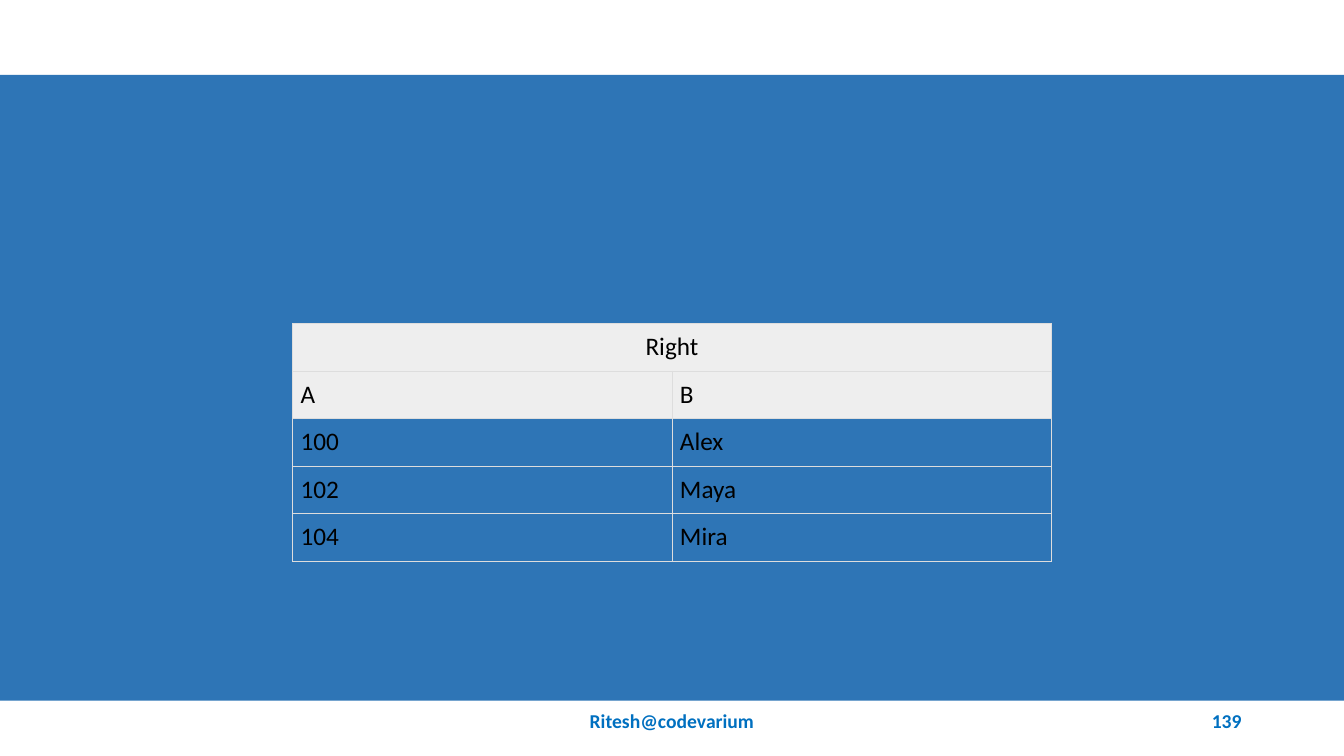
"""Builds a slide with a small two-column table on a blue band."""
from dataclasses import dataclass

from lxml.etree import SubElement
from pptx import Presentation
from pptx.dml.color import RGBColor
from pptx.enum.shapes import MSO_SHAPE
from pptx.enum.text import MSO_ANCHOR, PP_ALIGN
from pptx.oxml.ns import qn
from pptx.util import Pt

HEAD = "Right"
ROWS = [("A", "B"), ("100", "Alex"), ("102", "Maya"), ("104", "Mira")]
FOOT = [
    ("Ritesh@codevarium", 318, 324, PP_ALIGN.CENTER),
    ("139", 678, 216, PP_ALIGN.RIGHT),
]
WIDE, HIGH = 960, 540
BAND = (0, 53.5, WIDE, 447)
LEFT, TOP, COL, ROW, PAD = 209, 231, 271, 34, 5.75
FOOT_TOP, FOOT_HIGH = 500.5, 28.75


@dataclass(frozen=True)
class Theme:
    """Holds colours, font and sizes."""
    font: str = "Calibri"
    page: str = "FFFFFF"
    band: str = "2E75B6"
    head: str = "EEEEEE"
    rule: str = "DDDDDD"
    ink: str = "000000"
    foot: str = "0070C0"
    body: int = 18
    small: int = 14
    line: float = 0.75


LOOK = Theme()


def paint(fill, tone):
    """Sets a solid fill."""
    fill.solid()
    fill.fore_color.rgb = RGBColor.from_string(tone)


def write(frame, text, size, tone, align, bold=False):
    """Adds one styled run to the first paragraph."""
    para = frame.paragraphs[0]
    para.alignment = align
    run = para.add_run()
    run.text = text
    run.font.name = LOOK.font
    run.font.size = Pt(size)
    run.font.bold = bold
    run.font.color.rgb = RGBColor.from_string(tone)


def edge(cell):
    """Draws a thin rule on all four sides of a cell."""
    props = cell._tc.get_or_add_tcPr()
    for side in ("lnL", "lnR", "lnT", "lnB"):
        line = SubElement(props, qn(f"a:{side}"), w=str(Pt(LOOK.line)))
        fill = SubElement(line, qn("a:solidFill"))
        SubElement(fill, qn("a:srgbClr"), val=LOOK.rule)


def add_grid(slide):
    """Adds the table with its merged heading."""
    data = [(HEAD, "")] + ROWS
    frame = slide.shapes.add_table(
        len(data), 2, Pt(LEFT), Pt(TOP), Pt(2 * COL), Pt(ROW * len(data)))
    grid = frame.table
    grid.horz_banding = False
    grid.cell(0, 0).merge(grid.cell(0, 1))
    for r, row in enumerate(data):
        grid.rows[r].height = Pt(ROW)
        for c, text in enumerate(row):
            cell = grid.cell(r, c)
            cell.margin_left = cell.margin_right = Pt(PAD)
            cell.margin_top = cell.margin_bottom = Pt(PAD)
            edge(cell)
            if r < 2:
                paint(cell.fill, LOOK.head)
            else:
                cell.fill.background()
            if text:
                align = PP_ALIGN.LEFT if r else PP_ALIGN.CENTER
                write(cell.text_frame, text, LOOK.body, LOOK.ink, align)


def main():
    """Builds and saves the slide."""
    deck = Presentation()
    deck.slide_width, deck.slide_height = Pt(WIDE), Pt(HIGH)
    slide = deck.slides.add_slide(deck.slide_layouts[6])
    paint(slide.background.fill, LOOK.page)
    band = slide.shapes.add_shape(MSO_SHAPE.RECTANGLE, *map(Pt, BAND))
    band.shadow.inherit = False
    paint(band.fill, LOOK.band)
    band.line.fill.background()
    add_grid(slide)
    for text, left, width, align in FOOT:
        box = slide.shapes.add_textbox(
            Pt(left), Pt(FOOT_TOP), Pt(width), Pt(FOOT_HIGH))
        frame = box.text_frame
        frame.word_wrap = True
        frame.vertical_anchor = MSO_ANCHOR.MIDDLE
        write(frame, text, LOOK.small, LOOK.foot, align, True)
    deck.save("out.pptx")


if __name__ == "__main__":
    main()
